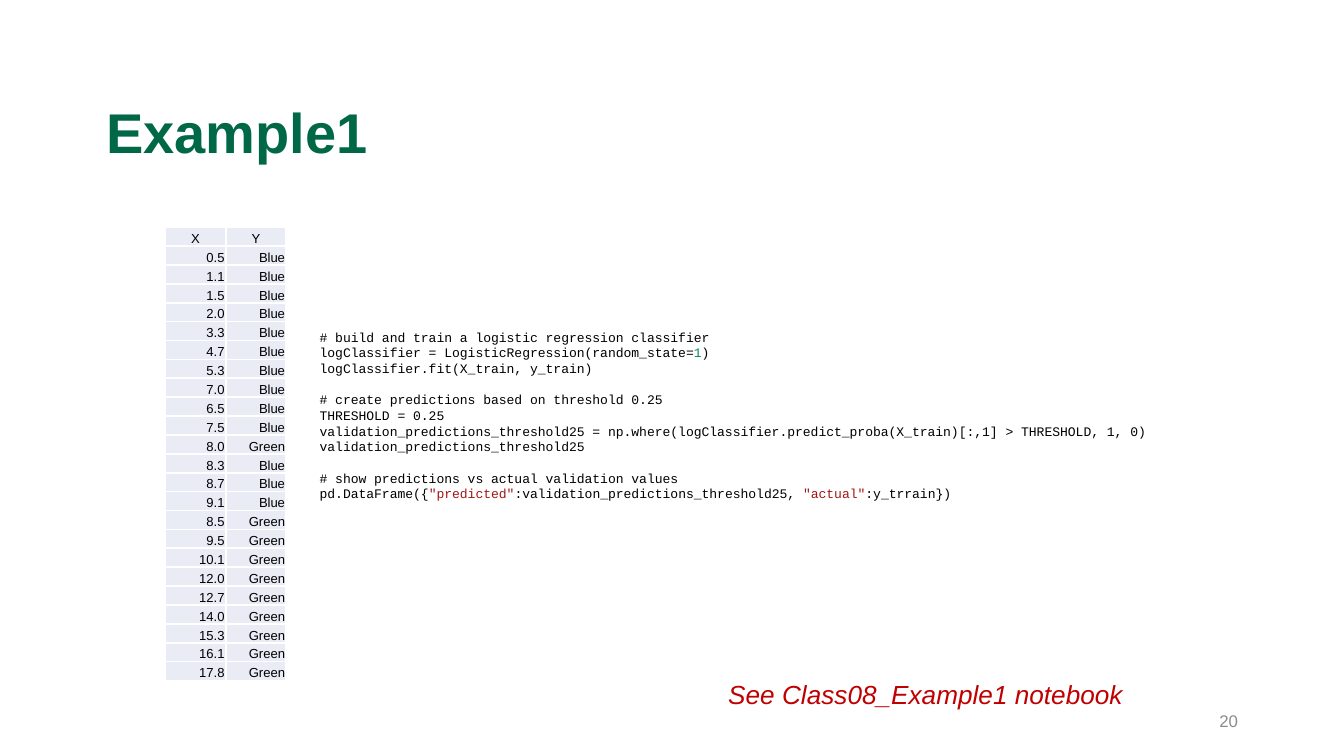
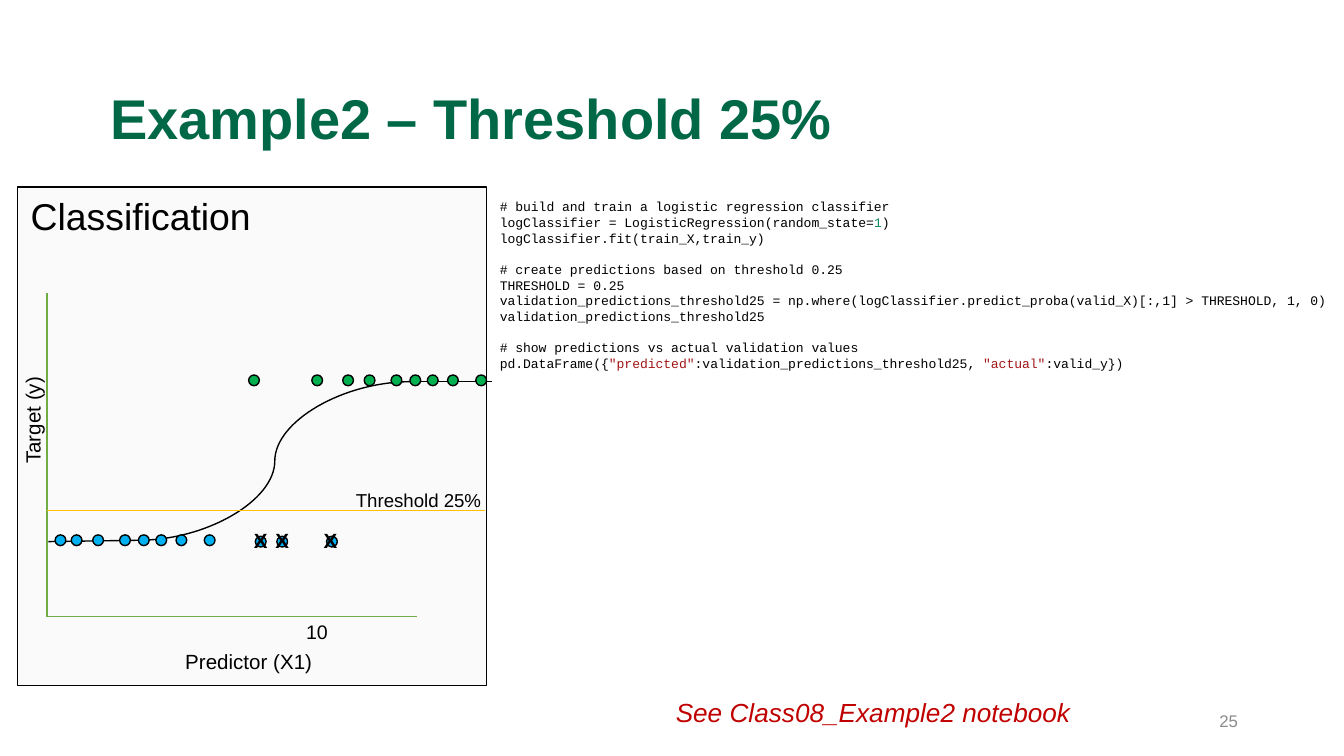
from lxml.etree import SubElement
from pptx import Presentation
from pptx.dml.color import RGBColor
from pptx.enum.shapes import MSO_CONNECTOR, MSO_SHAPE
from pptx.enum.text import MSO_ANCHOR, MSO_AUTO_SIZE, PP_ALIGN
from pptx.oxml.ns import qn
from pptx.util import Inches, Pt

SLIDE_WIDTH = 10
SLIDE_HEIGHT = SLIDE_WIDTH * 9 / 16

COLORS = {
    "title": "006747", "black": "000000", "white": "FFFFFF", "page": "8C8C8C",
    "note": "C00000", "number": "09885A", "string": "A31515", "cell": "E9EBF5",
    "panel": "FAFAFA", "axis": "70AD47", "threshold": "FFC000",
    "green_dot": "00B050", "blue_dot": "00B0F0",
}
FONT, CODE_FONT = "Arial", "Courier New"

OBSERVATIONS = [
    ("X", "Y"),
    ("0.5", "Blue"), ("1.1", "Blue"), ("1.5", "Blue"), ("2.0", "Blue"),
    ("3.3", "Blue"), ("4.7", "Blue"), ("5.3", "Blue"), ("7.0", "Blue"),
    ("6.5", "Blue"), ("7.5", "Blue"), ("8.0", "Green"), ("8.3", "Blue"),
    ("8.7", "Blue"), ("9.1", "Blue"), ("8.5", "Green"), ("9.5", "Green"),
    ("10.1", "Green"), ("12.0", "Green"), ("12.7", "Green"), ("14.0", "Green"),
    ("15.3", "Green"), ("16.1", "Green"), ("17.8", "Green"),
]

# Each block is a list of lines, each line a list of (text, color) pieces.
CODE_BLOCKS = [
    [
        [("# build and train a logistic regression classifier", "black")],
        [("logClassifier = LogisticRegression(random_state=", "black"),
         ("1", "number"), (")", "black")],
        [("logClassifier.fit({fit})", "black")],
    ],
    [
        [("# create predictions based on threshold 0.25", "black")],
        [("THRESHOLD = 0.25", "black")],
        [("validation_predictions_threshold25 = np.where("
          "logClassifier.predict_proba({predictors})[:,1] > THRESHOLD, 1, 0)", "black")],
        [("validation_predictions_threshold25", "black")],
    ],
    [
        [("# show predictions vs actual validation values", "black")],
        [("pd.DataFrame({", "black"), ('"predicted"', "string"),
         (":validation_predictions_threshold25, ", "black"),
         ('"actual"', "string"), (":{actual}})", "black")],
    ],
]
CODE_GAP = 8.4

DOT = 0.08
# (color, top, lefts)
DOT_ROWS = [
    ("green_dot", 2.79, (1.85, 2.32, 2.55, 2.71, 2.91, 3.05, 3.18, 3.33, 3.54)),
    ("blue_dot", 3.98, (0.41, 0.53, 0.69, 0.89, 1.03, 1.16, 1.31, 1.52)),
    ("blue_dot", 3.99, (1.9, 2.06, 2.43)),
]
CROSS_LEFTS = (1.79, 1.95, 2.31)

# (kind, start, end, color, width)
AXES = [
    (MSO_CONNECTOR.STRAIGHT, (0.35, 2.18), (0.35, 4.59), "axis", 0.75),
    (MSO_CONNECTOR.STRAIGHT, (3.1, 4.59), (0.35, 4.59), "axis", 0.5),
]
LOGISTIC_CURVE = [
    (MSO_CONNECTOR.STRAIGHT, (0.36, 4.03), (1.05, 4.02), "black", 0.75),
    (MSO_CONNECTOR.CURVE, (1.03, 4.02), (3.06, 2.84), "black", 0.75),
    (MSO_CONNECTOR.STRAIGHT, (3.06, 2.84), (3.66, 2.84), "black", 0.75),
]
THRESHOLD_LINE = (MSO_CONNECTOR.STRAIGHT, (0.35, 3.8), (3.61, 3.8), "threshold", 0.75)

# (text, box, size, rotation, wrap)
CHART_LABELS = [
    ("Predictor (X1)", (1.28, 4.78, 1.15, 0.29), 11, 0, False),
    ("Target (y)", (-0.19, 2.97, 0.87, 0.29), 11, 270, False),
    ("10", (2.18, 4.56, 0.98, 0.29), 10.5, 0, True),
    ("Threshold 25%", (2.55, 3.59, 1.14, 0.27), 10, 0, False),
]


def rgb(name):
    return RGBColor.from_string(COLORS[name])


def inches(values):
    return [Inches(value) for value in values]


def style_font(font, size, color, name=FONT, bold=False, italic=False):
    font.name, font.size, font.bold, font.italic = name, Pt(size), bold, italic
    font.color.rgb = rgb(color)


def write(text_frame, text, size, color, align=PP_ALIGN.LEFT, **style):
    text_frame.text = text
    paragraph = text_frame.paragraphs[0]
    paragraph.alignment = align
    style_font(paragraph.runs[0].font, size, color, **style)
    return paragraph


def add_text_box(slide, box, wrap=False, grow=True):
    shape = slide.shapes.add_textbox(*inches(box))
    text_frame = shape.text_frame
    text_frame.word_wrap = wrap
    text_frame.auto_size = MSO_AUTO_SIZE.SHAPE_TO_FIT_TEXT if grow else MSO_AUTO_SIZE.NONE
    return shape


def add_slide(presentation, title, title_position, page):
    slide = presentation.slides.add_slide(presentation.slide_layouts[5])
    shape = slide.shapes.title
    shape.left, shape.top, shape.width, shape.height = inches((*title_position, 8.62, 0.76))
    shape.text_frame.vertical_anchor = MSO_ANCHOR.MIDDLE
    shape.text_frame.auto_size = MSO_AUTO_SIZE.NONE
    write(shape.text_frame, title, 30, "title", bold=True).line_spacing = 0.9

    page_frame = add_text_box(slide, (7.06, 5.21, 2.25, 0.3), True, False).text_frame
    page_frame.vertical_anchor = MSO_ANCHOR.MIDDLE
    write(page_frame, page, 9, "page", PP_ALIGN.RIGHT)
    return slide


def add_note(slide, text, box, wrap=False):
    write(add_text_box(slide, box, wrap).text_frame, text, 14, "note", italic=True)


def add_code(slide, box, names):
    text_frame = add_text_box(slide, box).text_frame
    paragraph = None
    for block_index, block in enumerate(CODE_BLOCKS):
        for line_index, line in enumerate(block):
            paragraph = text_frame.add_paragraph() if paragraph else text_frame.paragraphs[0]
            if block_index and not line_index:
                paragraph.space_before = Pt(CODE_GAP)
            for text, color in line:
                for key, value in names.items():
                    text = text.replace("{" + key + "}", value)
                run = paragraph.add_run()
                run.text = text
                style_font(run.font, 7, color, CODE_FONT)


def set_borders(cell, color, width):
    properties = cell._tc.get_or_add_tcPr()
    for index, side in enumerate(("a:lnL", "a:lnR", "a:lnT", "a:lnB")):
        line = SubElement(properties, qn(side), w=str(Pt(width)))
        fill = SubElement(line, qn("a:solidFill"))
        SubElement(fill, qn("a:srgbClr"), val=COLORS[color])
        properties.remove(line)
        properties.insert(index, line)


def add_observations(slide):
    row_count = len(OBSERVATIONS)
    table = slide.shapes.add_table(row_count, 2, *inches((1.23, 1.69, 0.9, 3.38))).table
    table.first_row = table.horz_banding = False
    for row_index, values in enumerate(OBSERVATIONS):
        table.rows[row_index].height = Inches(3.38 / row_count)
        align = PP_ALIGN.RIGHT if row_index else PP_ALIGN.CENTER
        for column_index, value in enumerate(values):
            cell = table.cell(row_index, column_index)
            cell.margin_left = cell.margin_right = cell.margin_top = Inches(0.01)
            cell.margin_bottom = 0
            cell.vertical_anchor = MSO_ANCHOR.BOTTOM
            cell.fill.solid()
            cell.fill.fore_color.rgb = rgb("cell")
            set_borders(cell, "white", 1)
            write(cell.text_frame, value, 7, "black", align)


def add_outlined_shape(slide, kind, box, fill):
    shape = slide.shapes.add_shape(kind, *inches(box))
    shape.shadow.inherit = False
    shape.fill.solid()
    shape.fill.fore_color.rgb = rgb(fill)
    shape.line.color.rgb = rgb("black")
    shape.line.width = Pt(0.75)
    return shape


def add_line(slide, kind, start, end, color, width):
    connector = slide.shapes.add_connector(kind, *inches((*start, *end)))
    connector.line.color.rgb = rgb(color)
    connector.line.width = Pt(width)
    SubElement(connector._element.spPr, qn("a:effectLst"))


def add_classification_diagram(slide):
    panel = add_outlined_shape(slide, MSO_SHAPE.RECTANGLE, (0.13, 1.39, 3.49, 3.71), "panel")
    panel.text_frame.vertical_anchor = MSO_ANCHOR.TOP
    write(panel.text_frame, "Classification", 20, "black")

    for line in AXES + LOGISTIC_CURVE:
        add_line(slide, *line)
    for color, top, lefts in DOT_ROWS:
        for left in lefts:
            add_outlined_shape(slide, MSO_SHAPE.OVAL, (left, top, DOT, DOT), color)
    add_line(slide, *THRESHOLD_LINE)
    for text, box, size, rotation, wrap in CHART_LABELS:
        label = add_text_box(slide, box, wrap)
        label.rotation = rotation
        write(label.text_frame, text, size, "black")
    for left in CROSS_LEFTS:
        cross = add_text_box(slide, (left, 3.88, 0.31, 0.29))
        write(cross.text_frame, "X", 11, "black", bold=True)


def main():
    presentation = Presentation()
    presentation.slide_width = Inches(SLIDE_WIDTH)
    presentation.slide_height = Inches(SLIDE_HEIGHT)

    slide = add_slide(presentation, "Example1", (0.69, 0.63), "20")
    add_observations(slide)
    add_note(slide, "See Class08_Example1 notebook", (5.32, 5, 3.15, 0.34))
    add_code(slide, (2.28, 2.4, 6.52, 1.62),
             {"fit": "X_train, y_train", "predictors": "X_train", "actual": "y_trrain"})

    slide = add_slide(presentation, "Example2 – Threshold 25%", (0.72, 0.52), "25")
    add_classification_diagram(slide)
    add_code(slide, (3.62, 1.43, 6.52, 1.51),
             {"fit": "train_X,train_y", "predictors": "valid_X", "actual": "valid_y"})
    add_note(slide, "See Class08_Example2 notebook", (4.93, 5.13, 5.07, 0.34), True)

    presentation.save("out.pptx")


if __name__ == "__main__":
    main()
